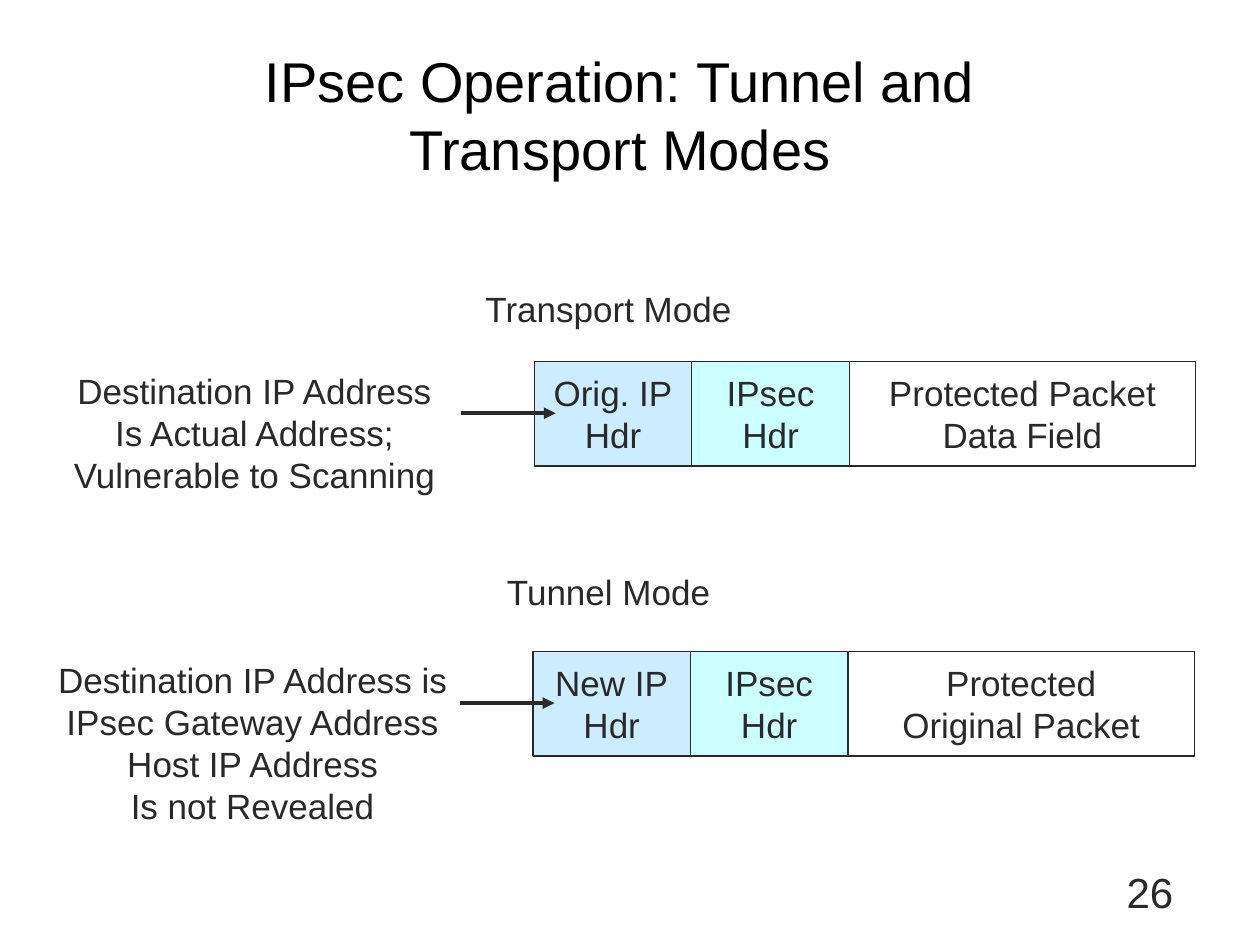
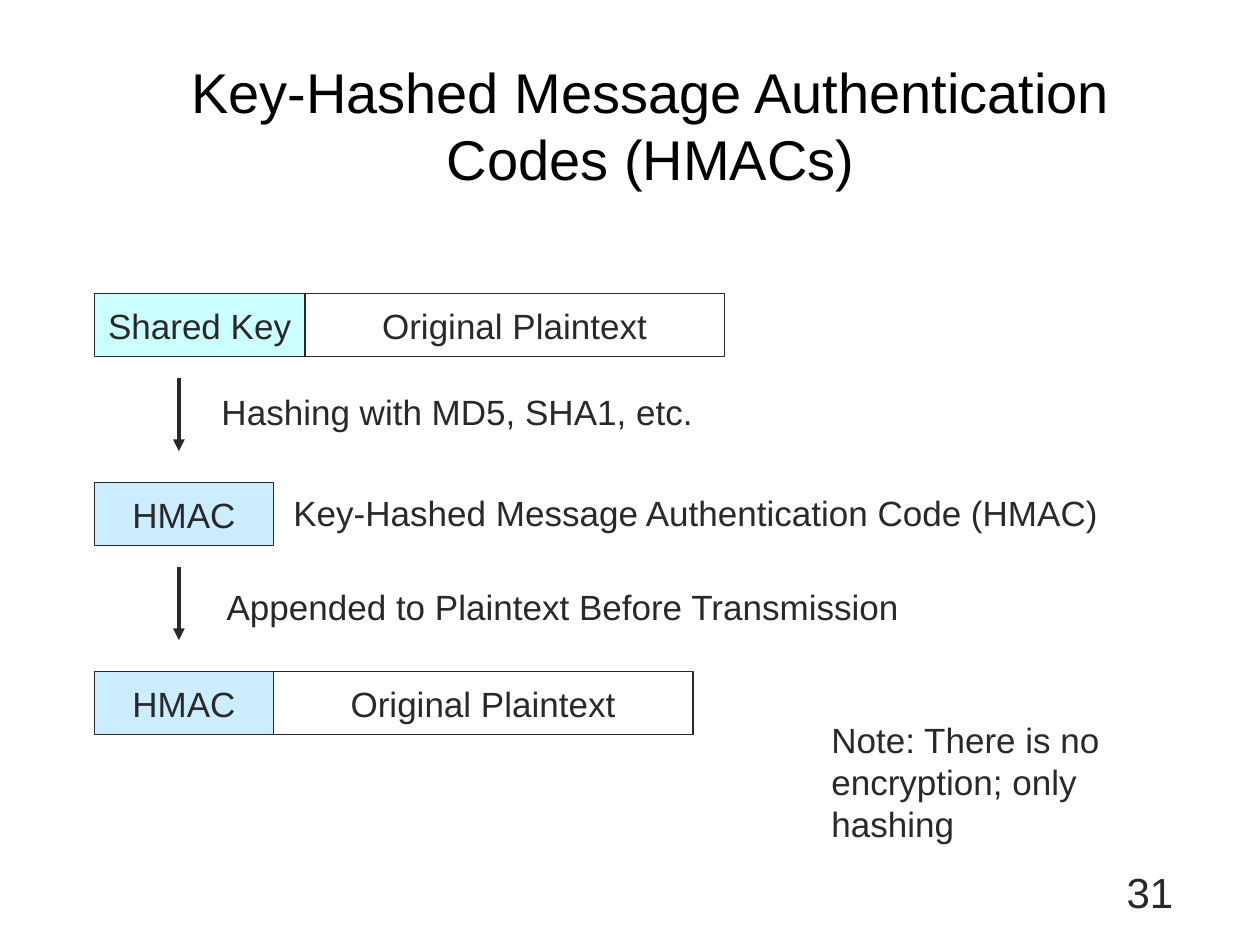
"""Build two slides on IPsec modes and key-hashed message authentication codes."""
from typing import NamedTuple

from lxml.etree import SubElement
from pptx import Presentation
from pptx.dml.color import RGBColor
from pptx.enum.shapes import MSO_CONNECTOR as Connector, MSO_SHAPE as Shape
from pptx.enum.text import MSO_ANCHOR as Anchor, MSO_AUTO_SIZE as AutoSize, PP_ALIGN as Align
from pptx.oxml.ns import qn
from pptx.slide import Slide
from pptx.text.text import TextFrame
from pptx.util import Inches, Pt

BLACK = RGBColor(0x00, 0x00, 0x00)
INK = RGBColor(0x29, 0x29, 0x29)
WHITE = RGBColor(0xFF, 0xFF, 0xFF)
BLUE = RGBColor(0xCC, 0xEC, 0xFF)
CYAN = RGBColor(0xCC, 0xFF, 0xFF)
FONT = "Arial"


class Area(NamedTuple):
    """A rectangle in inches."""
    left: float
    top: float
    width: float
    height: float

    def lengths(self) -> list[Inches]:
        """Return the four sides as lengths."""
        return [Inches(side) for side in self]


class Field(NamedTuple):
    """One field of a packet."""
    text: str
    fill: RGBColor
    width: float


class Label(NamedTuple):
    """Free text and its place."""
    text: str
    area: Area


class Mode(NamedTuple):
    """An IPsec mode with its packet and remark."""
    heading: Label
    left: float
    top: float
    fields: list[Field]
    remark: Label


class HashStep(NamedTuple):
    """A row of packet fields in the hashing process."""
    fields: list[Field]
    action: Label | None


MODES = [
    Mode(Label("Transport Mode", Area(3.75, 2.23, 2.16, 0.44)), 4.24, 2.87,
         [Field("Orig. IP\nHdr", BLUE, 1.25), Field("IPsec\nHdr", CYAN, 1.25),
          Field("Protected Packet\nData Field", WHITE, 2.75)],
         Label("Destination IP Address\nIs Actual Address;\nVulnerable to Scanning",
               Area(0.48, 2.88, 3.08, 1.1))),
    Mode(Label("Tunnel Mode", Area(3.92, 4.48, 1.82, 0.44)), 4.23, 5.17,
         [Field("New IP\nHdr", BLUE, 1.25), Field("IPsec\nHdr", CYAN, 1.25),
          Field("Protected\nOriginal Packet", WHITE, 2.75)],
         Label("Destination IP Address is\nIPsec Gateway Address\nHost IP Address\n"
               "Is not Revealed", Area(0.35, 5.18, 3.31, 1.44))),
]
PLAINTEXT = Field("Original Plaintext", WHITE, 3.33)
HMAC = Field("HMAC", BLUE, 1.42)
HASH_STEPS = [
    HashStep([Field("Shared Key", CYAN, 1.67), PLAINTEXT],
             Label("Hashing with MD5, SHA1, etc.", Area(1.66, 3.05, 3.94, 0.44))),
    HashStep([HMAC], Label("Appended to Plaintext Before Transmission",
                           Area(1.7, 4.6, 5.55, 0.44))),
    HashStep([HMAC, PLAINTEXT], None),
]
HASH_NOTES = [
    Label("Key-Hashed Message Authentication Code (HMAC)", Area(2.23, 3.85, 6.6, 0.44)),
    Label("Note: There is no\nencryption; only\nhashing", Area(6.5, 5.65, 2.33, 1.1)),
]


def write(frame: TextFrame, text: str, align: Align, size: int = 20,
          color: RGBColor = INK) -> None:
    """Fill a text frame with evenly formatted paragraphs."""
    frame.text = text
    for paragraph in frame.paragraphs:
        paragraph.alignment = align
        paragraph.font.name = FONT
        paragraph.font.size = Pt(size)
        paragraph.font.color.rgb = color


def add_label(page: Slide, label: Label, align: Align = Align.LEFT) -> None:
    """Add a text box that grows with its text."""
    frame = page.shapes.add_textbox(*label.area.lengths()).text_frame
    frame.word_wrap = False
    frame.auto_size = AutoSize.SHAPE_TO_FIT_TEXT
    write(frame, label.text, align)


def add_packet(page: Slide, left: float, top: float, height: float,
               fields: list[Field]) -> None:
    """Add adjoining packet fields from left to right."""
    for field in fields:
        box = page.shapes.add_shape(Shape.RECTANGLE,
                                    *Area(left, top, field.width, height).lengths())
        box.shadow.inherit = False
        box.fill.solid()
        box.fill.fore_color.rgb = field.fill
        box.line.color.rgb = INK
        box.line.width = Pt(0.75)
        box.text_frame.word_wrap = False
        box.text_frame.vertical_anchor = Anchor.MIDDLE
        write(box.text_frame, field.text, Align.CENTER)
        left += field.width


def add_arrow(page: Slide, left: float, top: float, across: float = 0,
              down: float = 0) -> None:
    """Add a straight arrow."""
    arrow = page.shapes.add_connector(Connector.STRAIGHT, Inches(left), Inches(top),
                                      Inches(left + across), Inches(top + down))
    arrow.line.color.rgb = INK
    arrow.line.width = Pt(2.25)
    properties = arrow.line._get_or_add_ln()
    SubElement(properties, qn("a:tailEnd"), type="triangle")
    SubElement(properties.getparent(), qn("a:effectLst"))


def add_page(deck: Presentation, title: str, area: Area, number: int) -> Slide:
    """Add a slide with its title and page number."""
    page = deck.slides.add_slide(deck.slide_layouts[5])
    heading = page.shapes.title
    heading.left, heading.top, heading.width, heading.height = area.lengths()
    heading.text_frame.auto_size = AutoSize.NONE
    heading.text_frame.vertical_anchor = Anchor.BOTTOM
    write(heading.text_frame, title, Align.CENTER, 32, BLACK)
    footer = page.shapes.add_textbox(*Area(7.33, 6.83, 2.08, 0.5).lengths())
    footer.text_frame.word_wrap = True
    write(footer.text_frame, str(number), Align.RIGHT, 24)
    return page


def add_modes_page(deck: Presentation) -> None:
    """Add the slide comparing transport and tunnel modes."""
    page = add_page(deck, "IPsec Operation: Tunnel and Transport Modes",
                    Area(1.02, 0.42, 7.8, 1.07), 26)
    for mode in MODES:
        add_label(page, mode.heading, Align.CENTER)
        add_packet(page, mode.left, mode.top, 0.83, mode.fields)
        add_arrow(page, mode.left - 0.58, mode.top + 0.41, across=0.75)
        add_label(page, mode.remark, Align.CENTER)


def add_hmac_page(deck: Presentation) -> None:
    """Add the slide on creating and appending an HMAC."""
    page = add_page(deck, "Key-Hashed Message Authentication Codes (HMACs)",
                    Area(1.08, 0.25, 8.17, 1.32), 31)
    for index, step in enumerate(HASH_STEPS):
        top = 2.33 + 1.5 * index
        add_packet(page, 0.75, top, 0.5, step.fields)
        if step.action:
            add_arrow(page, 1.42, top + 0.67, down=0.58)
            add_label(page, step.action)
    for note in HASH_NOTES:
        add_label(page, note)


def main() -> None:
    """Build and save the deck."""
    deck = Presentation()
    deck.slide_width, deck.slide_height = Inches(10), Inches(7.5)
    add_modes_page(deck)
    add_hmac_page(deck)
    deck.save("out.pptx")


if __name__ == "__main__":
    main()
